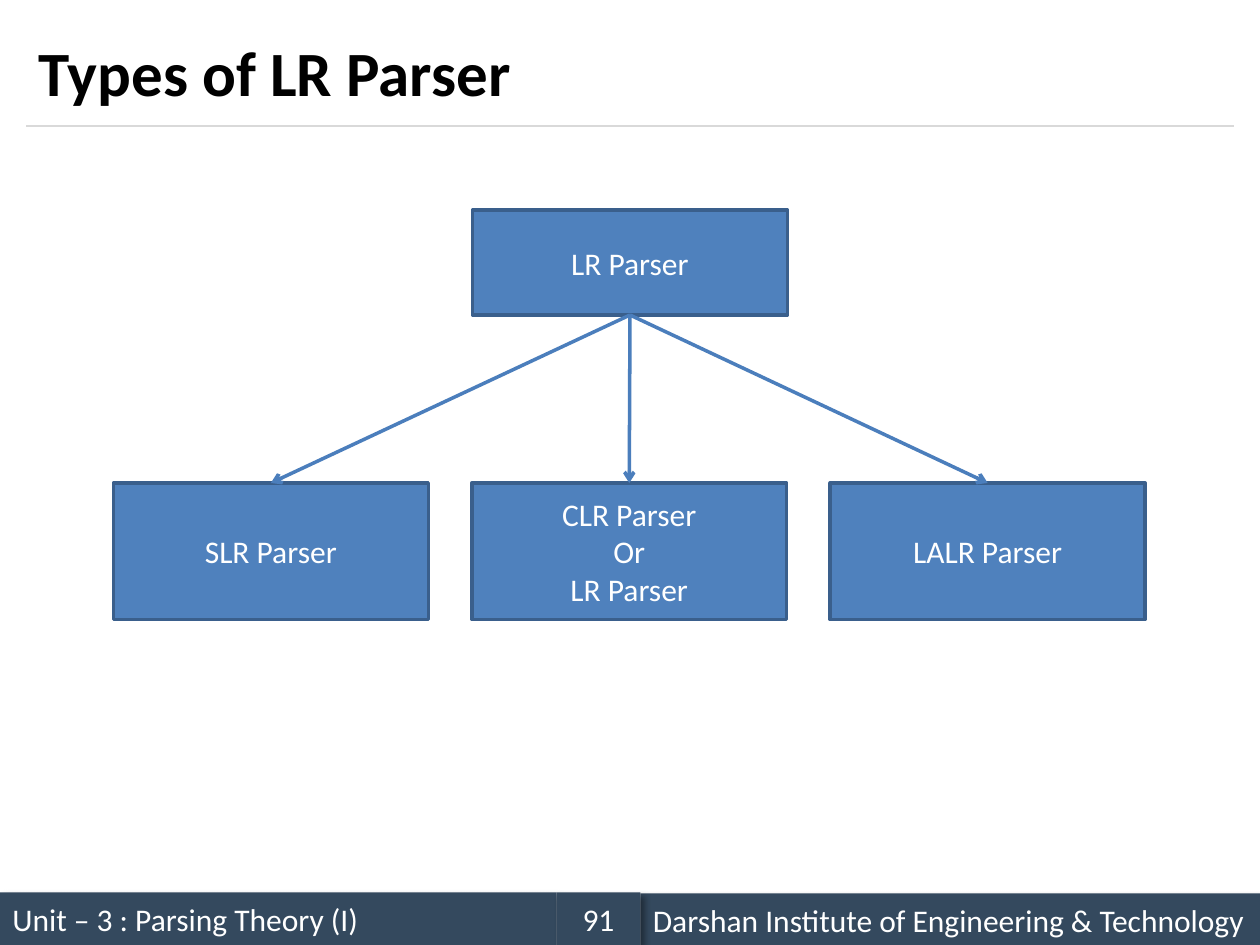
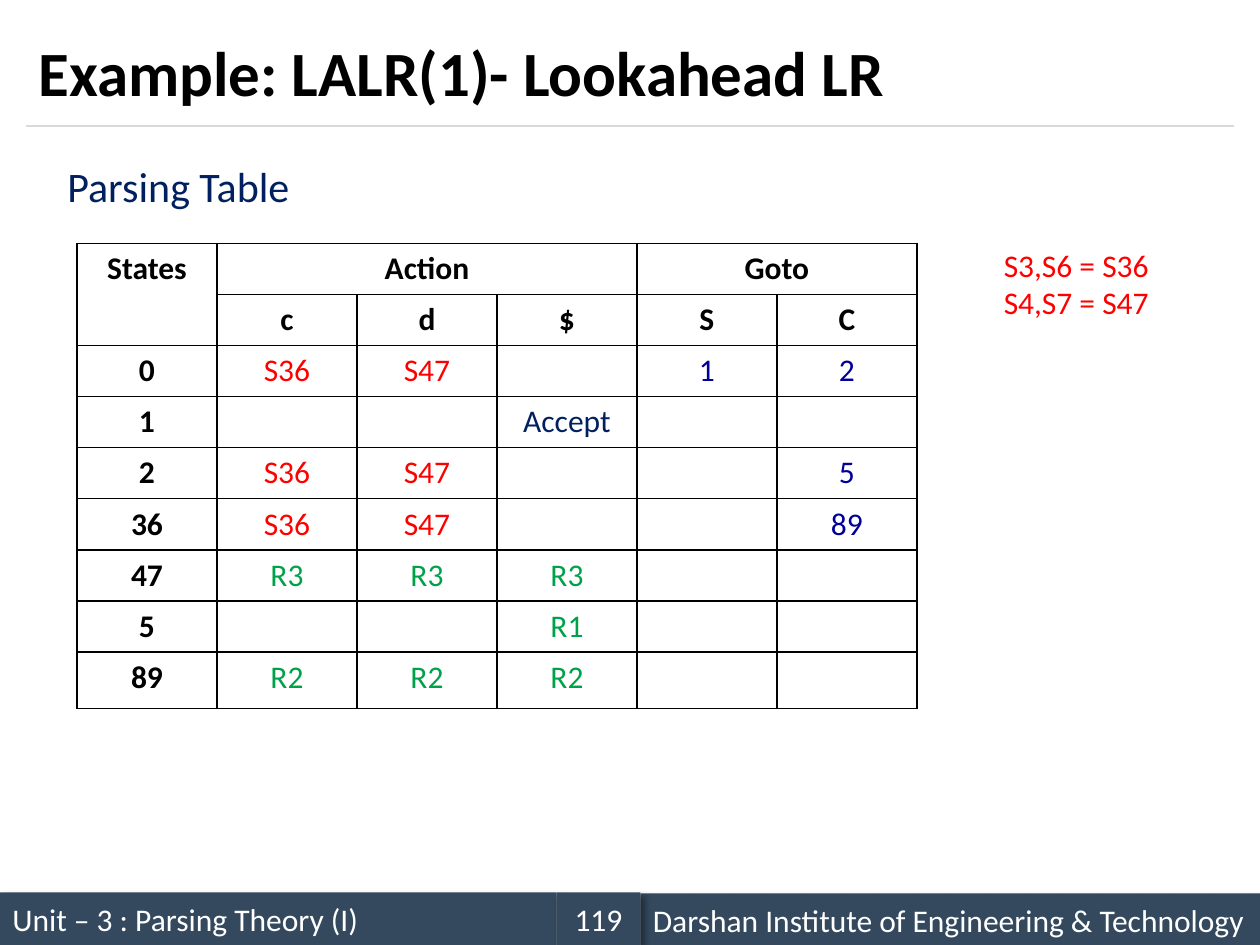
from lxml import etree
from pptx import Presentation
from pptx.dml.color import RGBColor
from pptx.enum.shapes import MSO_CONNECTOR, MSO_SHAPE
from pptx.enum.text import MSO_ANCHOR, PP_ALIGN
from pptx.oxml import parse_xml
from pptx.oxml.ns import nsdecls, qn
from pptx.util import Pt

RECT = MSO_SHAPE.RECTANGLE
STRAIGHT = MSO_CONNECTOR.STRAIGHT
LEFT, CENTER = PP_ALIGN.LEFT, PP_ALIGN.CENTER
TOP, MIDDLE = MSO_ANCHOR.TOP, MSO_ANCHOR.MIDDLE

WHITE = RGBColor(0xFF, 0xFF, 0xFF)
BLACK = RGBColor(0x00, 0x00, 0x00)
SLATE = RGBColor(0x34, 0x49, 0x5E)
RULE = RGBColor(0xD9, 0xD9, 0xD9)
BOX_FILL = RGBColor(0x4F, 0x81, 0xBD)
BOX_LINE = RGBColor(0x3A, 0x5F, 0x8C)
ARROW = RGBColor(0x4B, 0x7E, 0xBC)
NAVY = RGBColor(0x00, 0x20, 0x60)
SHIFT = RGBColor(0xFF, 0x00, 0x00)
REDUCE = RGBColor(0x00, 0xA2, 0x49)
GOTO = RGBColor(0x00, 0x00, 0x99)

SHADOW = (f'<a:outerShdw {nsdecls("a")} blurRad="50800" dist="38100" dir="2700000" algn="tl" rotWithShape="0">'
          '<a:srgbClr val="000000"><a:alpha val="40000"/></a:srgbClr></a:outerShdw>')
BORDER = ('<a:{} {} w="12700"><a:solidFill><a:srgbClr val="000000"/></a:solidFill></a:{}>')


def write(tf, text, color, size=18, bold=False, align=CENTER, anchor=MIDDLE):
    tf.word_wrap = True
    tf.vertical_anchor = anchor
    font = {"name": "Calibri", "size": Pt(size), "bold": bold}
    for i, line in enumerate(text.split("\n")):
        p = tf.paragraphs[0] if i == 0 else tf.add_paragraph()
        p.alignment = align
        r = p.add_run()
        r.text = line
        for name, value in font.items():
            setattr(r.font, name, value)
        r.font.color.rgb = color


def add_line(s, x1, y1, x2, y2, color, width):
    ln = s.shapes.add_connector(STRAIGHT, Pt(x1), Pt(y1), Pt(x2), Pt(y2))
    ln.line.color.rgb = color
    ln.line.width = Pt(width)
    etree.SubElement(ln._element.spPr, qn("a:effectLst"))
    return ln


prs = Presentation()
prs.slide_width, prs.slide_height = Pt(720), Pt(540)

slides = []
for title, number in [("Types of LR Parser", "91"), ("Example: LALR(1)- Lookahead LR", "119")]:
    s = prs.slides.add_slide(prs.slide_layouts[6])
    slides.append(s)
    add_line(s, 15, 72, 705, 72, RULE, 0.75)
    for x, y, w, text, align in [
        (0, 510, 318, "Unit – 3 : Parsing Theory (I)", LEFT),
        (366, 510.5, 354, "Darshan Institute of Engineering & Technology", LEFT),
        (318, 510, 48, number, CENTER),
    ]:
        sp = s.shapes.add_shape(RECT, Pt(x), Pt(y), Pt(w), Pt(30))
        sp.fill.solid()
        sp.fill.fore_color.rgb = SLATE
        sp.line.fill.background()
        sp.shadow.inherit = False
        sp._element.spPr.find(qn("a:effectLst")).append(parse_xml(SHADOW))
        write(sp.text_frame, text, WHITE, align=align)
    tb = s.shapes.add_textbox(Pt(15), Pt(9), Pt(690), Pt(63))
    write(tb.text_frame, title, BLACK, size=36, bold=True, align=LEFT)

s = slides[0]
names = ["SLR Parser", "CLR Parser\nOr\nLR Parser", "LALR Parser"]
nodes = [("LR Parser", 270, 120, 60)]
nodes += [(name, 64.8 + 204.8 * i, 276, 78) for i, name in enumerate(names)]
boxes = []
for name, x, y, h in nodes:
    sp = s.shapes.add_shape(RECT, Pt(x), Pt(y), Pt(180), Pt(h))
    sp.fill.solid()
    sp.fill.fore_color.rgb = BOX_FILL
    sp.line.color.rgb = BOX_LINE
    sp.line.width = Pt(2)
    sp.shadow.inherit = False
    write(sp.text_frame, name, WHITE)
    boxes.append(sp)

root, *children = boxes
for child in children:
    ln = add_line(s, 0, 0, 0, 0, ARROW, 2)
    ln.begin_connect(root, 2)
    ln.end_connect(child, 0)
    etree.SubElement(ln.line._get_or_add_ln(), qn("a:tailEnd"), type="arrow")

s = slides[1]
rows = [
    ["States", "Action", "", "", "Goto", ""],
    ["", "c", "d", "$", "S", "C"],
    ["0", "S36", "S47", "", "1", "2"],
    ["1", "", "", "Accept", "", ""],
    ["2", "S36", "S47", "", "", "5"],
    ["36", "S36", "S47", "", "", "89"],
    ["47", "R3", "R3", "R3", "", ""],
    ["5", "", "", "R1", "", ""],
    ["89", "R2", "R2", "R2", "", ""],
]
entry_colors = {"S": SHIFT, "R": REDUCE, "A": NAVY}
table = s.shapes.add_table(9, 6, Pt(44), Pt(139), Pt(480), Pt(266)).table
table.first_row = table.horz_banding = False
for col in table.columns:
    col.width = Pt(80)
for i, row in enumerate(table.rows):
    row.height = Pt(32.4 if i == 8 else 29.2)
for i, row in enumerate(rows):
    for j, text in enumerate(row):
        cell = table.cell(i, j)
        tcPr = cell._tc.get_or_add_tcPr()
        for side in ("lnL", "lnR", "lnT", "lnB"):
            tcPr.append(parse_xml(BORDER.format(side, nsdecls("a"), side)))
        cell.fill.background()
        if text:
            head = i < 2 or j == 0
            color = BLACK if head else entry_colors.get(text[0], GOTO)
            write(cell.text_frame, text, color, bold=head, anchor=TOP)
for top, left, bottom, right in [(0, 0, 1, 0), (0, 1, 0, 3), (0, 4, 0, 5)]:
    table.cell(top, left).merge(table.cell(bottom, right))

tb = s.shapes.add_textbox(Pt(15), Pt(84), Pt(690), Pt(420))
tb.text_frame.margin_left = Pt(23.5)
write(tb.text_frame, "Parsing Table", NAVY, size=24, align=LEFT, anchor=TOP)
tb.text_frame.paragraphs[0].line_spacing = 1.14

tb = s.shapes.add_textbox(Pt(549), Pt(108), Pt(132), Pt(108))
write(tb.text_frame, "S3,S6 = S36\nS4,S7 = S47", SHIFT)

prs.save("out.pptx")
